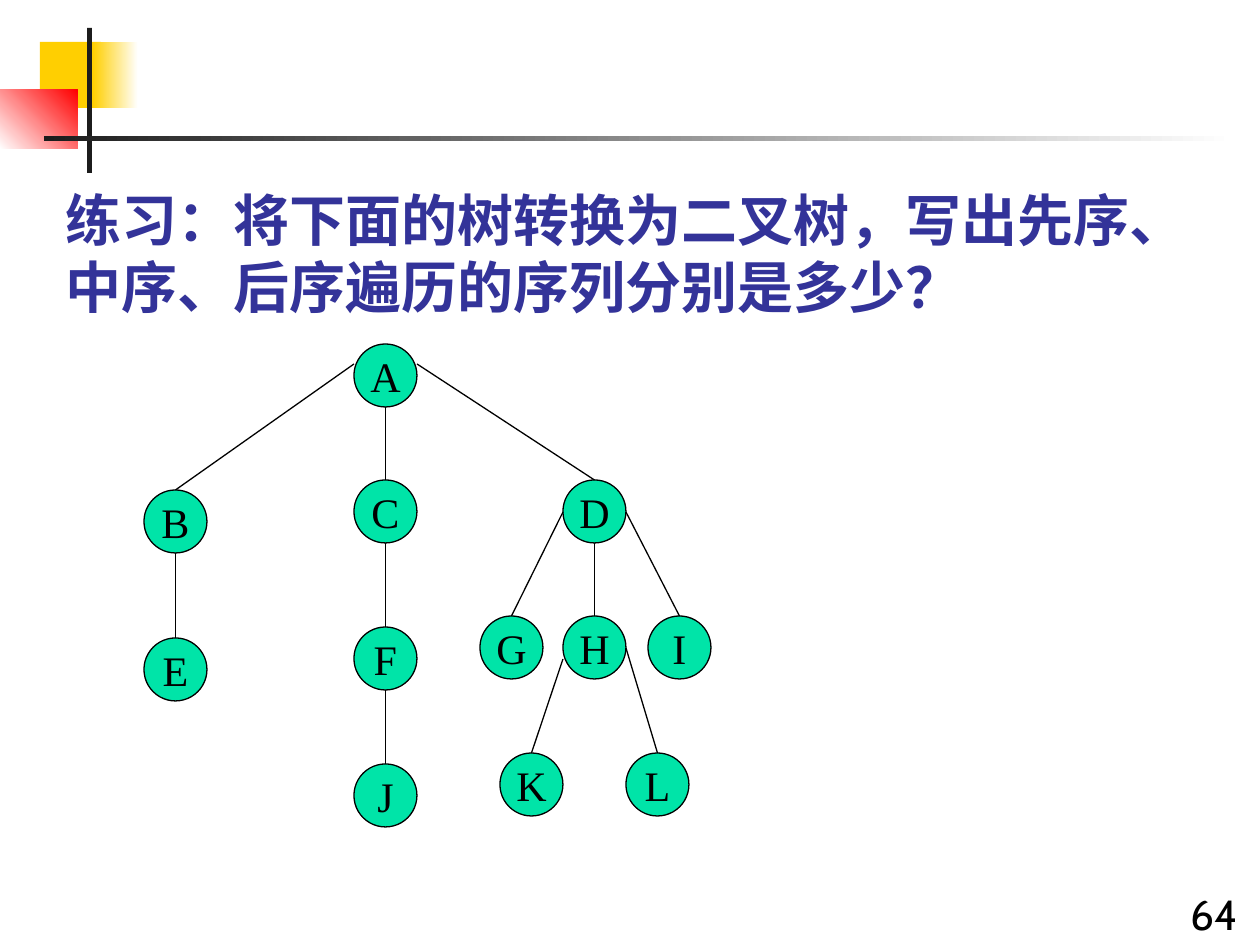
from dataclasses import dataclass

from lxml.etree import SubElement
from pptx import Presentation
from pptx.dml.color import RGBColor
from pptx.enum.shapes import MSO_CONNECTOR, MSO_SHAPE
from pptx.enum.text import MSO_ANCHOR, MSO_AUTO_SIZE, PP_ALIGN
from pptx.oxml.ns import qn
from pptx.util import Emu, Pt

SCALE = 914400 / 126
SIZE = 63  # node diameter


@dataclass(frozen=True)
class Theme:
    yellow: str = "FFCF01"
    red: str = "FF0000"
    white: str = "FFFFFF"
    dark: str = "1C1C1C"
    black: str = "000000"
    title: str = "333399"
    node: str = "00E4A8"
    title_font: str = "Noto Sans CJK SC"
    node_font: str = "Times New Roman"
    page_font: str = "Cabin"
    title_size: int = 32
    text_size: int = 24
    line: float = 0.75


THEME = Theme()

# Left and top of each node
NODES = {
    "A": (354, 344),
    "B": (144, 490), "C": (354, 480), "D": (563, 480),
    "E": (144, 638), "F": (354, 627),
    "G": (480, 616), "H": (563, 616), "I": (648, 616),
    "J": (354, 764), "K": (500, 753), "L": (626, 753),
}
# Parent, child, and how far below the parent's top a slanted edge leaves
EDGES = [
    ("A", "B", 20), ("A", "C", SIZE), ("A", "D", 20),
    ("B", "E", SIZE), ("C", "F", SIZE), ("F", "J", SIZE),
    ("D", "G", 32), ("D", "H", SIZE), ("D", "I", 32),
    ("H", "K", 43), ("H", "L", 32),
]


def px(*values):
    return [Emu(round(value * SCALE)) for value in values]


def rgb(color):
    return RGBColor.from_string(color)


def style(para, font, size, color, bold=False):
    para.font.name = font
    para.font.size = Pt(size)
    para.font.bold = bold
    para.font.color.rgb = rgb(color)
    props = para._p.pPr.find(qn("a:defRPr"))
    SubElement(props, qn("a:ea")).set("typeface", font)


def add_bar(slide, box, start, end=None, angle=0):
    """Add a borderless rectangle, shaded from start to end if end is given."""
    bar = slide.shapes.add_shape(MSO_SHAPE.RECTANGLE, *px(*box))
    bar.shadow.inherit = False
    bar.line.fill.background()
    if end is None:
        bar.fill.solid()
        bar.fill.fore_color.rgb = rgb(start)
        return
    bar.fill.gradient()
    bar.fill.gradient_angle = angle
    for stop, color in zip(bar.fill.gradient_stops, (start, end)):
        stop.color.rgb = rgb(color)


def add_text(slide, box, text, *look):
    frame = slide.shapes.add_textbox(*px(*box)).text_frame
    frame.word_wrap = True
    frame.auto_size = MSO_AUTO_SIZE.NONE
    para = frame.paragraphs[0]
    para.text = text
    style(para, *look)


def add_node(slide, name):
    node = slide.shapes.add_shape(
        MSO_SHAPE.FLOWCHART_CONNECTOR, *px(*NODES[name], SIZE, SIZE))
    node.shadow.inherit = False
    node.fill.solid()
    node.fill.fore_color.rgb = rgb(THEME.node)
    node.line.color.rgb = rgb(THEME.black)
    node.line.width = Pt(THEME.line)
    frame = node.text_frame
    frame.word_wrap = False
    frame.vertical_anchor = MSO_ANCHOR.MIDDLE
    para = frame.paragraphs[0]
    para.text = name
    para.alignment = PP_ALIGN.CENTER
    style(para, THEME.node_font, THEME.text_size, THEME.black)


def add_edge(slide, parent, child, drop):
    """Join the parent's bottom or nearer side to the top of the child."""
    left, top = NODES[parent]
    goal, below = NODES[child]
    if goal == left:
        start = left + SIZE / 2
    else:
        start = left if goal < left else left + SIZE
    edge = slide.shapes.add_connector(
        MSO_CONNECTOR.STRAIGHT,
        *px(start, top + drop, goal + SIZE / 2, below))
    edge.line.color.rgb = rgb(THEME.black)
    edge.line.width = Pt(THEME.line)
    SubElement(edge._element.spPr, qn("a:effectLst"))


def add_decor(slide):
    add_bar(slide, (40, 42, 61, 66), THEME.yellow)
    add_bar(slide, (93, 42, 45, 66), THEME.yellow, THEME.white)
    add_bar(slide, (0, 90, 78, 59), THEME.white, THEME.red, 45)
    add_bar(slide, (87, 28, 5, 145), THEME.dark)
    add_bar(slide, (44, 136, 1191, 5), THEME.dark, THEME.white)


def main():
    deck = Presentation()
    deck.slide_width, deck.slide_height = px(1260, 945)
    slide = deck.slides.add_slide(deck.slide_layouts[6])
    add_decor(slide)
    add_text(slide, (1178, 882, 82, 63), "64",
             THEME.page_font, THEME.text_size, THEME.black)
    add_text(slide, (53, 179, 1103, 149),
             "练习：将下面的树转换为二叉树，写出先序、中序、后序遍历的序列分别是多少？",
             THEME.title_font, THEME.title_size, THEME.title, True)
    for name in NODES:
        add_node(slide, name)
    for edge in EDGES:
        add_edge(slide, *edge)
    deck.save("out.pptx")


if __name__ == "__main__":
    main()
